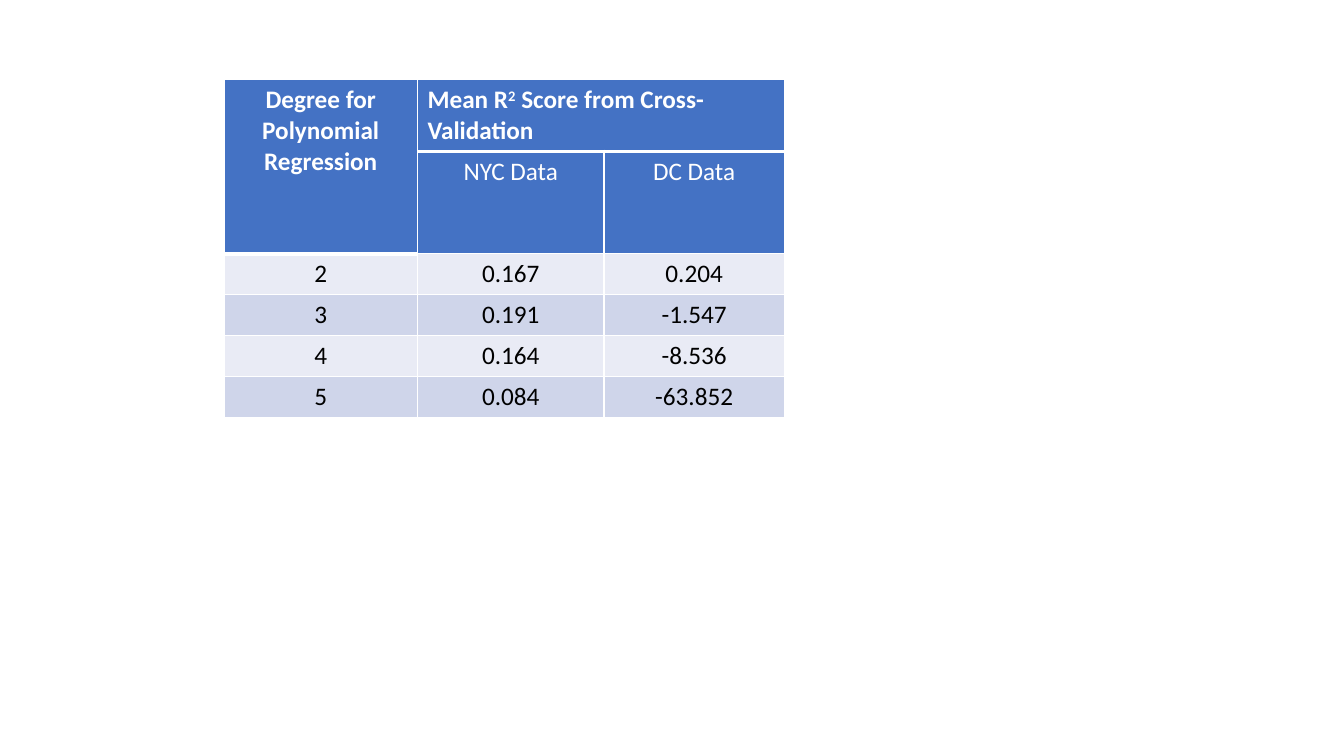
from lxml.etree import SubElement
from pptx import Presentation
from pptx.dml.color import RGBColor
from pptx.enum.text import PP_ALIGN
from pptx.oxml.ns import qn
from pptx.util import Pt

COLORS = {
    "header": "4472C4",
    "light_band": "E9EBF5",
    "dark_band": "CFD5EA",
    "white": "FFFFFF",
    "black": "000000",
}
COLUMN_WIDTHS = [138.25, 133.25, 128.75]
ROW_HEIGHT = 29.2
HEADER_ROWS = 2
SCORES = [
    ("2", "0.167", "0.204"),
    ("3", "0.191", "-1.547"),
    ("4", "0.164", "-8.536"),
    ("5", "0.084", "-63.852"),
]


def color(name):
    return RGBColor.from_string(COLORS[name])


def set_borders(cell, widths):
    """Draw white borders; widths maps side tags (lnL, lnR, lnT, lnB) to points."""
    properties = cell._tc.get_or_add_tcPr()
    for side, width in widths.items():
        line = SubElement(properties, qn(f"a:{side}"), w=str(Pt(width)))
        fill = SubElement(line, qn("a:solidFill"))
        SubElement(fill, qn("a:srgbClr"), val=COLORS["white"])


def style_cell(cell, row):
    """Give a cell the borders and fill that belong to its row."""
    widths = {"lnL": 1, "lnR": 1}
    if row == 0:
        widths["lnT"] = 1
    widths["lnB"] = 3 if row == 0 else 1
    set_borders(cell, widths)

    if row < HEADER_ROWS:
        fill_name = "header"
    else:
        fill_name = "dark_band" if row % 2 else "light_band"
    cell.fill.solid()
    cell.fill.fore_color.rgb = color(fill_name)


def write_cell(cell, runs, font_color, bold=False, alignment=PP_ALIGN.CENTER):
    """Write (text, baseline) runs; the baseline is a percentage, 0 for normal text."""
    paragraph = cell.text_frame.paragraphs[0]
    paragraph.alignment = alignment
    for text, baseline in runs:
        run = paragraph.add_run()
        run.text = text
        run.font.size = Pt(18)
        run.font.name = "Calibri"
        run.font.bold = bold
        run.font.color.rgb = color(font_color)
        if baseline:
            run.font._element.set("baseline", str(baseline * 1000))


def add_score_table(slide):
    row_count = HEADER_ROWS + len(SCORES)
    table = slide.shapes.add_table(
        row_count, len(COLUMN_WIDTHS), Pt(160), Pt(57),
        Pt(sum(COLUMN_WIDTHS)), Pt(ROW_HEIGHT * row_count),
    ).table
    for column, width in zip(table.columns, COLUMN_WIDTHS):
        column.width = Pt(width)
    for index, row in enumerate(table.rows):
        row.height = Pt(ROW_HEIGHT)
        for cell in row.cells:
            style_cell(cell, index)

    table.cell(0, 0).merge(table.cell(1, 0))
    table.cell(0, 1).merge(table.cell(0, 2))
    write_cell(table.cell(0, 0), [("Degree for Polynomial Regression", 0)], "white", bold=True)
    score_heading = [("Mean R", 0), ("2", 30), (" Score from Cross-Validation", 0)]
    write_cell(table.cell(0, 1), score_heading, "white", bold=True, alignment=PP_ALIGN.LEFT)
    for column, city in enumerate(("NYC Data", "DC Data"), start=1):
        write_cell(table.cell(1, column), [(city, 0)], "white")
    for row, values in enumerate(SCORES, start=HEADER_ROWS):
        for column, value in enumerate(values):
            write_cell(table.cell(row, column), [(value, 0)], "black")


def main():
    presentation = Presentation()
    presentation.slide_width = Pt(960)
    presentation.slide_height = Pt(540)
    slide = presentation.slides.add_slide(presentation.slide_layouts[6])
    add_score_table(slide)
    presentation.save("out.pptx")


if __name__ == "__main__":
    main()
